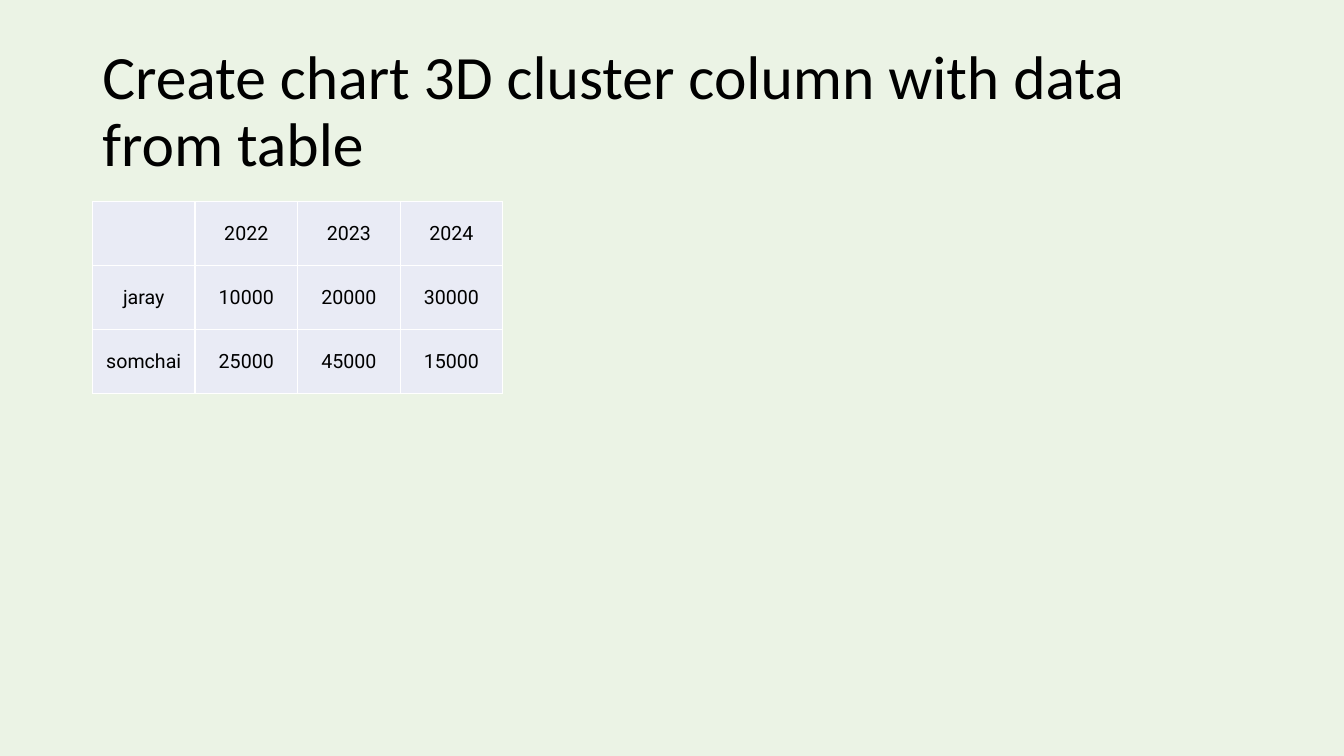
from lxml import etree
from pptx import Presentation
from pptx import util as u
from pptx.dml import color
from pptx.enum import text
from pptx.oxml import ns

HUES = {"back": "EBF3E5", "cell": "E9EBF5", "edge": "FFFFFF", "ink": "000000"}
ROWS = [
    ["", "2022", "2023", "2024"],
    ["jaray", "10000", "20000", "30000"],
    ["somchai", "25000", "45000", "15000"],
]


def hue(name):
    return color.RGBColor.from_string(HUES[name])


def style(para, face, size):
    for run in para.runs:
        run.font.name = face
        run.font.size = u.Pt(size)
        run.font.color.rgb = hue("ink")


def edge(cell):
    props = cell._tc.get_or_add_tcPr()
    for side in ("L", "R", "T", "B"):
        line = etree.SubElement(props, ns.qn(f"a:ln{side}"), w=str(u.Pt(1)))
        fill = etree.SubElement(line, ns.qn("a:solidFill"))
        etree.SubElement(fill, ns.qn("a:srgbClr"), val=HUES["edge"])


def title(slide, left, top, width, height):
    box = slide.shapes.add_textbox(u.Cm(left), u.Cm(top), u.Cm(width), u.Cm(height))
    frame = box.text_frame
    frame.word_wrap = True
    frame.vertical_anchor = text.MSO_ANCHOR.MIDDLE
    frame.text = "Create chart 3D cluster column with data from table"
    para = frame.paragraphs[0]
    para.line_spacing = 0.9
    style(para, "Calibri", 44)


def table(slide, left, top, width, height):
    grid = slide.shapes.add_table(
        len(ROWS), len(ROWS[0]), u.Cm(left), u.Cm(top), u.Cm(width), u.Cm(height)
    ).table
    grid.first_row = False
    grid.horz_banding = False
    for row, words in zip(grid.rows, ROWS):
        for cell, word in zip(row.cells, words):
            cell.text = word
            cell.vertical_anchor = text.MSO_ANCHOR.MIDDLE
            cell.margin_left = cell.margin_right = u.Cm(0.05)
            cell.margin_top = u.Cm(0.03)
            cell.margin_bottom = u.Cm(0)
            edge(cell)
            cell.fill.solid()
            cell.fill.fore_color.rgb = hue("cell")
            para = cell.text_frame.paragraphs[0]
            para.alignment = text.PP_ALIGN.CENTER
            style(para, "Roboto", 14)


def main():
    deck = Presentation()
    deck.slide_width = u.Cm(33.87)
    deck.slide_height = u.Cm(19.05)
    slide = deck.slides.add_slide(deck.slide_layouts[6])
    fill = slide.background.fill
    fill.solid()
    fill.fore_color.rgb = hue("back")
    title(slide, 2.33, 1.01, 29.21, 3.68)
    table(slide, 2.33, 5.08, 10.34, 4.83)
    deck.save("out.pptx")


if __name__ == "__main__":
    main()
